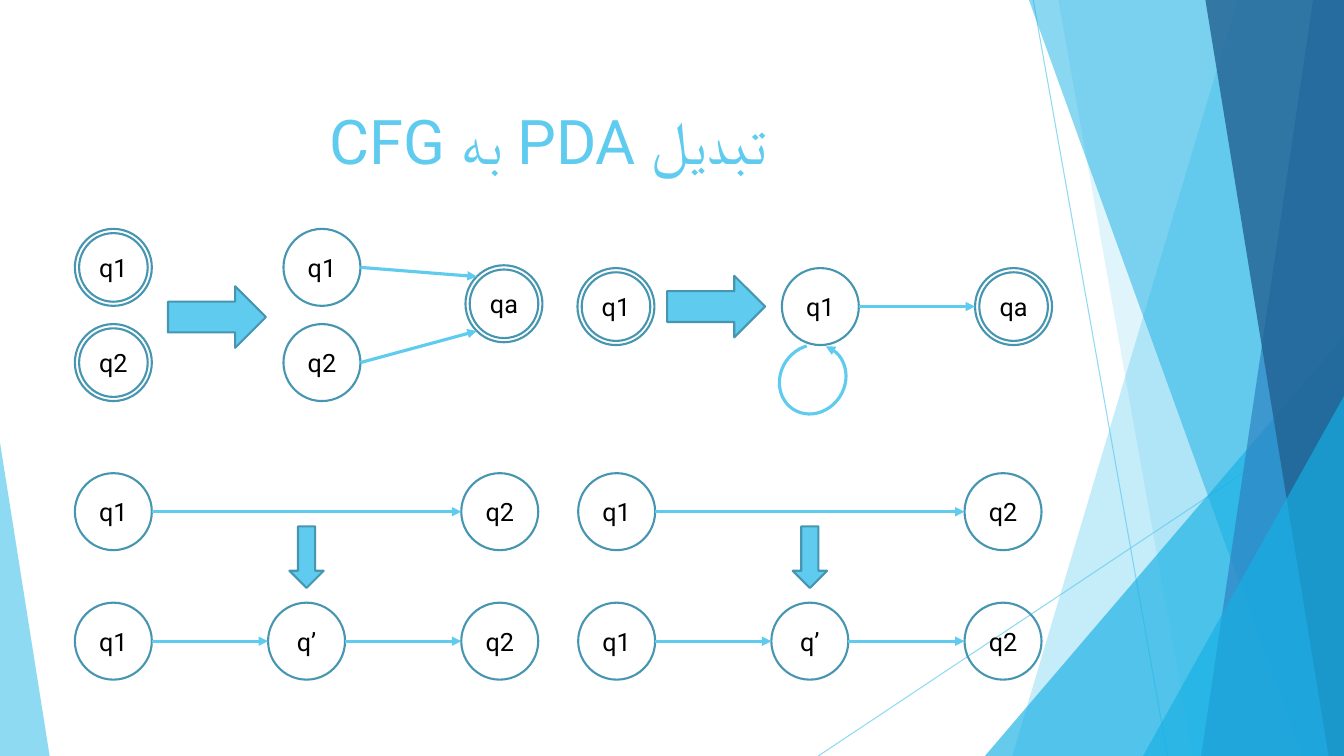
import math

import lxml.etree
import pptx
import pptx.dml.color
import pptx.enum.shapes
import pptx.enum.text
import pptx.oxml.ns
import pptx.util

Pt = pptx.util.Pt
SHAPE = pptx.enum.shapes.MSO_SHAPE
WIDTH, HEIGHT = 960, 540
FONT = "Roboto"
SKY, TEAL, AZURE = "5FCBEF", "4696B1", "17B0E4"
DIAMETER, RING_GAP = 55, 3


def color(value):
    return pptx.dml.color.RGBColor.from_string(value)


def add_child(parent, tag, **attrs):
    lxml.etree.SubElement(parent, pptx.oxml.ns.qn(tag), attrs)


def set_alpha(fill_parent, percent):
    for clr in fill_parent.iter(pptx.oxml.ns.qn("a:srgbClr")):
        add_child(clr, "a:alpha", val=str(percent * 1000))


def write(shape, text, size=18, fill="000000", rtl=False):
    tf = shape.text_frame
    tf.margin_left = tf.margin_right = tf.margin_top = tf.margin_bottom = 0
    tf.vertical_anchor = pptx.enum.text.MSO_ANCHOR.MIDDLE
    p = tf.paragraphs[0]
    p.alignment = pptx.enum.text.PP_ALIGN.CENTER
    if rtl:
        p._p.get_or_add_pPr().set("rtl", "1")
    r = p.add_run()
    r.text = text
    r.font.name = FONT
    r.font.size = Pt(size)
    r.font.color.rgb = color(fill)


def paint(shape, fill=None, line=None, weight=1.5, alpha=None):
    shape.shadow.inherit = False
    if fill:
        shape.fill.solid()
        shape.fill.fore_color.rgb = color(fill)
    else:
        shape.fill.background()
    if alpha:
        set_alpha(shape._element.spPr, alpha)
    if line:
        shape.line.color.rgb = color(line)
        shape.line.width = Pt(weight)
    else:
        shape.line.fill.background()


def add_shape(s, kind, x, y, w, h, **style):
    shape = s.shapes.add_shape(kind, Pt(x), Pt(y), Pt(w), Pt(h))
    paint(shape, **style)
    return shape


def add_line(s, x1, y1, x2, y2, weight, alpha=None, arrow=False):
    line = s.shapes.add_connector(
        pptx.enum.shapes.MSO_CONNECTOR.STRAIGHT, Pt(x1), Pt(y1), Pt(x2), Pt(y2))
    line.line.color.rgb = color(SKY)
    line.line.width = Pt(weight)
    spPr = line._element.spPr
    if alpha:
        set_alpha(spPr, alpha)
    if arrow:
        add_child(line.line._get_or_add_ln(), "a:tailEnd", type="triangle")
    add_child(spPr, "a:effectLst")


def add_facet(s, top_x, bottom_x, fill, alpha):
    """Fill from a slanted left edge to the right side of the slide."""
    builder = s.shapes.build_freeform(top_x, 0, scale=Pt(1))
    builder.add_line_segments([(WIDTH, 0), (WIDTH, HEIGHT), (bottom_x, HEIGHT)])
    paint(builder.convert_to_shape(), fill=fill, alpha=alpha)


def add_corner(s, x, y, w, apex, fill, alpha):
    """Triangle standing on the bottom edge, apex at 0 (left) or 1 (right)."""
    triangle = add_shape(s, SHAPE.ISOSCELES_TRIANGLE, x, y, w, HEIGHT - y,
                         fill=fill, alpha=alpha)
    triangle.adjustments[0] = apex


def add_state(s, x, y, label, accepting=False):
    """Draw an automaton state and return its centre."""
    circle = add_shape(s, SHAPE.OVAL, x, y, DIAMETER, DIAMETER, line=TEAL)
    if accepting:
        inner = DIAMETER - 2 * RING_GAP
        circle = add_shape(s, SHAPE.OVAL, x + RING_GAP, y + RING_GAP,
                           inner, inner, line=TEAL)
    write(circle, label)
    return x + DIAMETER / 2, y + DIAMETER / 2


def add_transition(s, start, end, angle=180):
    """Arrow from the right of one state to the given angle on another."""
    radius, turn = DIAMETER / 2, math.radians(angle)
    add_line(s, start[0] + radius, start[1],
             end[0] + radius * math.cos(turn), end[1] + radius * math.sin(turn),
             weight=2.25, arrow=True)


def add_block_arrow(s, kind, x, y, w, h):
    add_shape(s, kind, x, y, w, h, fill=SKY, line=TEAL)


def draw_background(s):
    add_line(s, 738, 0, 834, HEIGHT, weight=0.75, alpha=70)
    add_line(s, WIDTH, 290, 584.5, HEIGHT, weight=0.75, alpha=70)
    add_facet(s, 884, 723, SKY, 36)
    add_facet(s, 756, 852, SKY, 20)
    add_corner(s, 703.5, 240, 256.5, 1, AZURE, 66)
    add_facet(s, 735, 929.5, AZURE, 50)
    add_facet(s, 938, 858, "2E83C3", 70)
    add_facet(s, 861, 949, "226292", 80)
    add_corner(s, 816.5, 283, 143.5, 1, AZURE, 66)
    add_corner(s, 0, 316, 35.5, 0, SKY, 70)


def draw_single_accept(s):
    """Two accepting states become one."""
    rows = (("q1", 163.5, 225), ("q2", 231.5, 135))
    qa = add_state(s, 332.5, 189.5, "qa", accepting=True)
    for label, y, angle in rows:
        add_state(s, 53.5, y, label, accepting=True)
        add_transition(s, add_state(s, 202.5, y, label), qa, angle)
    add_block_arrow(s, SHAPE.RIGHT_ARROW, 120, 204.5, 70, 44)


def draw_empty_stack(s):
    """The accepting state gains a loop that empties the stack."""
    y = 191.5
    add_state(s, 412.5, y, "q1", accepting=True)
    add_block_arrow(s, SHAPE.RIGHT_ARROW, 476.5, 197, 70, 44)
    q1 = add_state(s, 558.5, y, "q1")
    add_transition(s, q1, add_state(s, 696.5, y, "qa", accepting=True))
    loop = add_shape(s, SHAPE.ARC, 557.5, 245.5, 46, 51, line=SKY, weight=2.25)
    loop.adjustments[0], loop.adjustments[1] = 154.7, 135.72
    loop.rotation = 33.8
    add_child(loop.line._get_or_add_ln(), "a:headEnd", type="triangle")


def draw_split(s, left):
    """One transition becomes two through a middle state."""
    step, top, bottom = 138, 338, 430.5
    q1 = add_state(s, left, top, "q1")
    add_transition(s, q1, add_state(s, left + 2 * step, top, "q2"))
    chain = [add_state(s, left + i * step, bottom, label)
             for i, label in enumerate(("q1", "q’", "q2"))]
    for start, end in zip(chain, chain[1:]):
        add_transition(s, start, end)
    add_block_arrow(s, SHAPE.DOWN_ARROW, chain[1][0] - 12.25, 376, 24.5, 44)


def main():
    prs = pptx.Presentation()
    prs.slide_width, prs.slide_height = Pt(WIDTH), Pt(HEIGHT)
    s = prs.slides.add_slide(prs.slide_layouts[5])
    title = s.shapes.title
    title.left, title.top, title.width, title.height = map(Pt, (53, 48, 677, 104))
    write(title, "تبدیل PDA به CFG", size=44, fill=SKY, rtl=True)
    draw_background(s)
    draw_single_accept(s)
    draw_empty_stack(s)
    for left in (53.5, 413):
        draw_split(s, left)
    prs.save("out.pptx")


if __name__ == "__main__":
    main()
